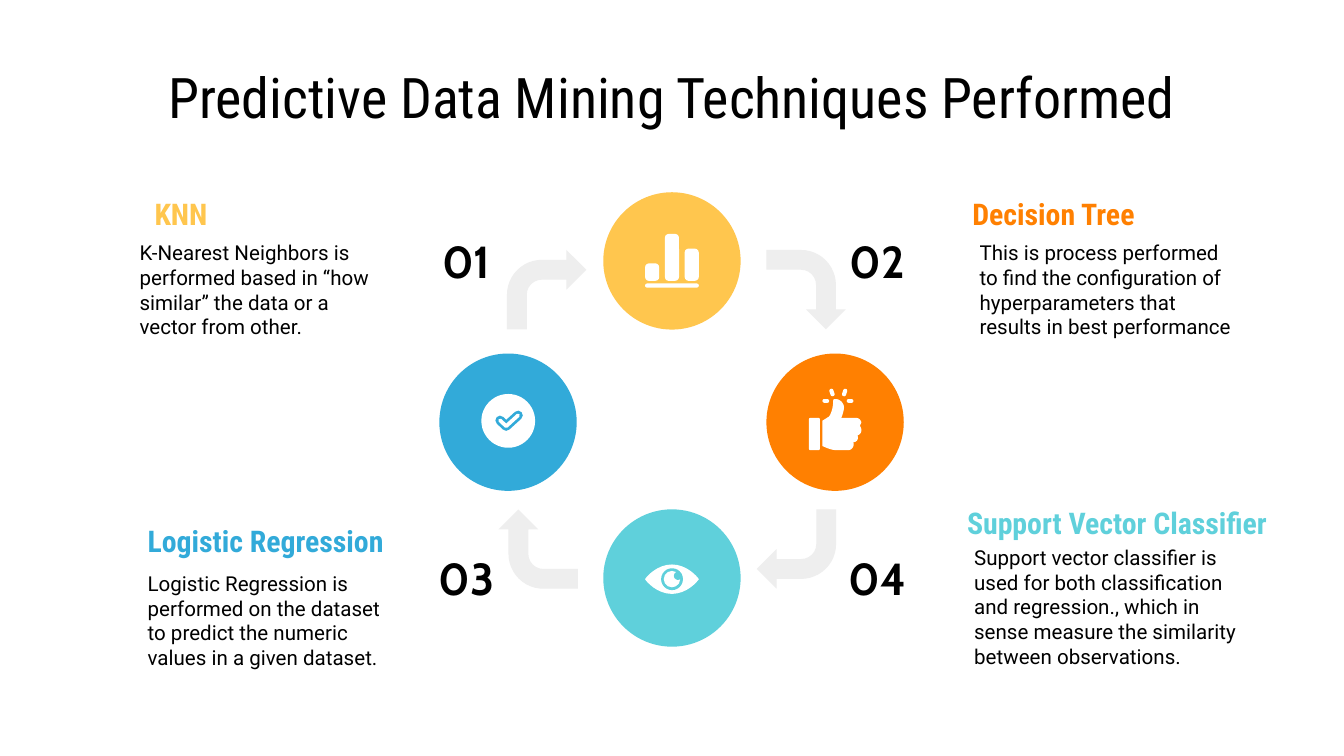
from pptx import Presentation
from pptx.dml.color import RGBColor
from pptx.enum.shapes import MSO_SHAPE
from pptx.enum.text import MSO_ANCHOR, PP_ALIGN
from pptx.util import Pt
from lxml import etree

ROUNDED, OVAL, BENT_ARROW = MSO_SHAPE.ROUNDED_RECTANGLE, MSO_SHAPE.OVAL, MSO_SHAPE.BENT_ARROW
LEFT, CENTER, RIGHT = PP_ALIGN.LEFT, PP_ALIGN.CENTER, PP_ALIGN.RIGHT
MIDDLE = MSO_ANCHOR.MIDDLE
DRAWING_NS = "http://schemas.openxmlformats.org/drawingml/2006/main"

WHITE, BLACK, GREY = "FFFFFF", "000000", "EEEEEE"
YELLOW, ORANGE, BLUE, TURQUOISE = "FFC64E", "FF8001", "32AAD9", "5FD0DB"

# Content; boxes are (left, top, width, height)
TITLE = "Predictive Data Mining Techniques Performed"
TECHNIQUES = [
    dict(number="01", name="KNN", color=YELLOW, align=LEFT,
         name_box=(75.7, 103, 155.5, 22.3), detail_box=(67.7, 125.3, 143.3, 59.8),
         detail="K-Nearest Neighbors is performed based in “how similar” the data or a "
                "vector from other."),
    dict(number="02", name="Decision Tree", color=ORANGE, align=RIGHT,
         name_box=(396.7, 103, 218.2, 22.3), detail_box=(517.7, 132.5, 149.8, 45.4),
         detail="This is process performed to find the configuration of hyperparameters "
                "that results in best performance"),
    dict(number="03", name="Logistic Regression", color=BLUE, align=LEFT,
         name_box=(72, 278.6, 155.5, 22.3), detail_box=(72, 309.6, 143.3, 45.4),
         detail="Logistic Regression is performed on the dataset to predict the numeric "
                "values in a given dataset."),
    dict(number="04", name="Support Vector Classifier", color=TURQUOISE, align=CENTER,
         name_box=(498, 268.6, 200.9, 22.3), detail_box=(514.8, 302.4, 155.5, 45.4),
         detail="Support vector classifier is used for both classification and regression., "
                "which in sense measure the similarity between observations."),
]
NUMBER_LEFTS, NUMBER_TOPS = (227.5, 447.8), (125.3, 295.2)

# Cycle
CIRCLE_SIZE, ARROW_SIZE = 73.6, 42.5
CIRCLES = [(323.2, 103, YELLOW), (410.6, 189.4, ORANGE),
           (323.2, 272.9, TURQUOISE), (235.4, 189.4, BLUE)]
ARROWS = [(271.6, 133.9, 0), (410.6, 133.9, 90), (405.4, 272.9, 180), (267.1, 272.9, 270)]

# Icon outlines: two numbers are a line end, six are a Bezier curve
EYE = [(345.6, 310.3), (346.3, 309, 352, 302.4, 360, 302.4),
       (368, 302.4, 373.7, 309, 374.4, 310.3), (373.7, 311.6, 368, 318.2, 360, 318.2),
       (352, 318.2, 346.3, 311.6, 345.6, 310.3)]
THUMB = [(447.1, 213.8), (446.4, 213.8, 446.4, 214.6, 446.4, 215.3),
         (446.4, 217.4, 445.7, 221, 444.2, 223.2), (442.8, 223.9, 442.1, 224.6, 440.6, 225.4),
         (440.6, 239), (442.8, 239.8, 445, 241.2, 448.6, 241.2), (454.3, 241.2),
         (456.5, 241.2, 457.9, 239, 457.2, 236.9), (459.4, 236.9, 460.1, 234.7, 459.4, 233.3),
         (461.5, 232.6, 462.2, 230.4, 460.8, 228.2), (460.8, 227.5, 461.5, 226.8, 461.5, 226.1),
         (460.8, 224.6, 460.1, 223.9, 458.6, 223.9), (450.7, 223.9),
         (451.4, 222.5, 452.2, 219.6, 452.2, 218.2), (452.2, 216, 450, 213.8, 447.8, 213.8)]
CHECK = [(267.9, 225.2), (271.2, 228.3), (277.6, 222.5)]

# Rounded icon parts: left, top, width, height, corner, rotation
ROUNDED_PARTS = [
    (345.6, 151.9, 28.8, 2.2, 0.5, 0),      # chart baseline
    (345.6, 141.1, 7.6, 9.4, 0.28, 0),      # chart bars
    (356.2, 125.3, 7.6, 25.2, 0.28, 0),
    (366.8, 133.2, 7.6, 17.3, 0.28, 0),
    (433.4, 223.9, 5.8, 17.3, 0.12, 0),     # thumb cuff
    (440.6, 213.8, 3.6, 2, 0.5, 0),         # rays around the thumb
    (453.6, 213.8, 3.6, 2, 0.5, 0),
    (444.6, 208.2, 2.2, 4.2, 0.5, -18),
    (451.4, 208.2, 2.2, 4.2, 0.5, 18),
]
# Round icon parts: center x, center y, diameter, color
ROUND_PARTS = [(360, 310.3, 11.7, TURQUOISE), (360, 310.3, 8.8, WHITE),
               (363.2, 308.5, 4.4, TURQUOISE), (272.3, 225.5, 28.8, WHITE)]


def rgb(color):
    return RGBColor.from_string(color)


def add_text(box, text, size, font, color, align=LEFT, bold=False, inset=7.2):
    frame = slide.shapes.add_textbox(*map(Pt, box)).text_frame
    frame.word_wrap = True
    frame.vertical_anchor = MIDDLE
    frame.margin_left = frame.margin_right = Pt(inset)
    frame.margin_top = frame.margin_bottom = Pt(inset)
    frame.text = text
    paragraph = frame.paragraphs[0]
    paragraph.alignment = align
    style = paragraph.runs[0].font
    style.size, style.name, style.bold = Pt(size), font, bold
    style.color.rgb = rgb(color)


def paint(shape, color):
    shape.shadow.inherit = False
    shape.fill.solid()
    shape.fill.fore_color.rgb = rgb(color)
    shape.line.fill.background()


def add_shape(kind, box, color, adjustments=(), rotation=0):
    shape = slide.shapes.add_shape(kind, *map(Pt, box))
    for index, value in enumerate(adjustments):
        shape.adjustments[index] = value
    shape.rotation = rotation
    paint(shape, color)


def trace(outline, steps=8):
    points = [outline[0]]
    for segment in outline[1:]:
        if len(segment) == 2:
            points.append(segment)
            continue
        nodes = [points[-1], segment[:2], segment[2:4], segment[4:]]
        for step in range(1, steps + 1):
            t = step / steps
            weights = ((1 - t) ** 3, 3 * t * (1 - t) ** 2, 3 * t ** 2 * (1 - t), t ** 3)
            points.append(tuple(sum(w * node[axis] for w, node in zip(weights, nodes))
                                for axis in (0, 1)))
    return [(Pt(x), Pt(y)) for x, y in points]


def add_outline(outline, close=True):
    start, *others = trace(outline)
    builder = slide.shapes.build_freeform(*start, scale=1.0)
    builder.add_line_segments(others, close=close)
    return builder.convert_to_shape()


def add_stroke(outline, color, width):
    shape = add_outline(outline, close=False)
    shape.shadow.inherit = False
    shape.fill.background()
    shape.line.color.rgb = rgb(color)
    shape.line.width = Pt(width)
    line = shape.line._get_or_add_ln()
    line.set("cap", "rnd")
    etree.SubElement(line, f"{{{DRAWING_NS}}}round")


presentation = Presentation()
presentation.slide_width, presentation.slide_height = Pt(720), Pt(405)
slide = presentation.slides.add_slide(presentation.slide_layouts[6])

add_text((36, 32.4, 648, 38.2), TITLE, 30, "Roboto Condensed", BLACK, CENTER)

# Circles and arrows of the cycle
for left, top, color in CIRCLES:
    add_shape(ROUNDED, (left, top, CIRCLE_SIZE, CIRCLE_SIZE), color, [0.5])
for left, top, rotation in ARROWS:
    add_shape(BENT_ARROW, (left, top, ARROW_SIZE, ARROW_SIZE), GREY,
              [0.25, 0.25, 0.25, 0.44], rotation)

# Techniques, two to a row
for index, technique in enumerate(TECHNIQUES):
    row, column = divmod(index, 2)
    add_text(technique["name_box"], technique["name"], 16, "Roboto Condensed",
             technique["color"], technique["align"], bold=True)
    add_text(technique["detail_box"], technique["detail"], 11, "Roboto", BLACK)
    add_text((NUMBER_LEFTS[column], NUMBER_TOPS[row], 44.6, 28.8), technique["number"],
             24, "Cabin", BLACK, CENTER, bold=True, inset=0)

# Icons
for outline in (EYE, THUMB):
    paint(add_outline(outline), WHITE)
for *box, corner, rotation in ROUNDED_PARTS:
    add_shape(ROUNDED, box, WHITE, [corner], rotation)
for x, y, diameter, color in ROUND_PARTS:
    add_shape(OVAL, (x - diameter / 2, y - diameter / 2, diameter, diameter), color)
for color, width in ((BLUE, 5), (WHITE, 2)):
    add_stroke(CHECK, color, width)

presentation.save("out.pptx")
